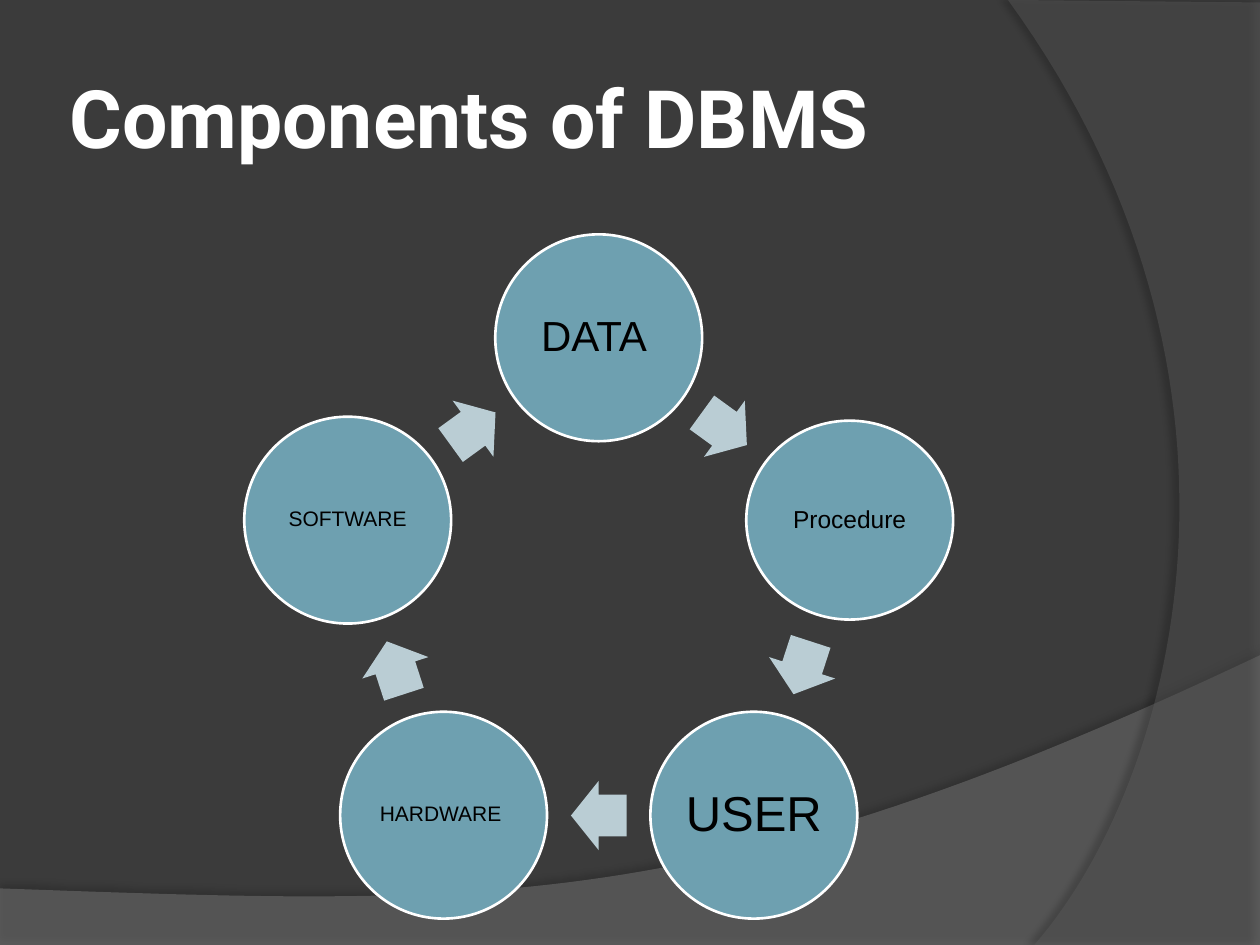
from math import cos, radians, sin

from lxml import etree
from pptx import Presentation
from pptx.dml.color import RGBColor
from pptx.enum.shapes import MSO_SHAPE
from pptx.enum.text import MSO_ANCHOR, PP_ALIGN
from pptx.oxml.ns import qn
from pptx.util import Cm, Pt

OVAL = MSO_SHAPE.OVAL
RIGHT_ARROW = MSO_SHAPE.RIGHT_ARROW
MIDDLE = MSO_ANCHOR.MIDDLE
LEFT, CENTER = PP_ALIGN.LEFT, PP_ALIGN.CENTER

COLORS = {
    "background": "3B3B3B",
    "bottom wave": "7F7F7F",
    "right wave": "5E5E5E",
    "circle": "6EA0B0",
    "arrow": "BACDD4",
    "white": "FFFFFF",
    "black": "000000",
}


def paint(shape, fill, outline=None):
    shape.shadow.inherit = False
    shape.fill.solid()
    shape.fill.fore_color.rgb = RGBColor.from_string(COLORS[fill])
    if outline:
        shape.line.color.rgb = RGBColor.from_string(COLORS[outline])
        shape.line.width = Pt(1.5)
    else:
        shape.line.fill.background()


def write_text(shape, text, size, color="black", font="Arial", bold=False,
               align=CENTER, margin=0.06, line_spacing=1.0):
    frame = shape.text_frame
    frame.word_wrap = True
    frame.vertical_anchor = MIDDLE
    frame.margin_left = frame.margin_right = Cm(margin)
    frame.margin_top = frame.margin_bottom = Cm(margin)
    paragraph = frame.paragraphs[0]
    paragraph.alignment = align
    paragraph.line_spacing = line_spacing
    run = paragraph.add_run()
    run.text = text
    run.font.size = Pt(size)
    run.font.name = font
    run.font.bold = bold
    run.font.color.rgb = RGBColor.from_string(COLORS[color])


presentation = Presentation()
presentation.slide_width = Cm(25.4)
presentation.slide_height = Cm(19.05)
slide = presentation.slides.add_slide(presentation.slide_layouts[6])
slide.background.fill.solid()
slide.background.fill.fore_color.rgb = RGBColor.from_string(COLORS["background"])

# Background waves: straight corners, then one cubic curve from the last corner.
# Each ends with opacity, shadow opacity, shadow distance and shadow direction.
WAVES = [
    ("bottom wave", [(0, 17.91), (0, 19.05), (25.4, 19.05), (25.4, 13.21)],
     [(14.2, 18.52), (9.93, 18.26), (0, 17.91)], 45, 35, 3.5, 270),
    ("right wave", [(25.4, 0.05), (25.4, 19.05), (20.85, 19.05)],
     [(23.75, 15.72), (25.86, 7.62), (20.32, 0)], 40, 45, 4, 180),
]
CURVE_STEPS = 60

for name, corners, controls, opacity, shadow_opacity, distance, direction in WAVES:
    curve = [corners[-1], *controls]
    points = list(corners)
    for step in range(1, CURVE_STEPS + 1):
        t = step / CURVE_STEPS
        weights = ((1 - t) ** 3, 3 * t * (1 - t) ** 2, 3 * t ** 2 * (1 - t), t ** 3)
        points.append(tuple(sum(weight * point[axis] for weight, point in zip(weights, curve))
                            for axis in (0, 1)))
    outline = [(Cm(x), Cm(y)) for x, y in points]
    builder = slide.shapes.build_freeform(*outline[0])
    builder.add_line_segments(outline[1:], close=True)
    wave = builder.convert_to_shape()
    paint(wave, name)
    properties = wave._element.spPr
    fill_color = properties.find(qn("a:solidFill")).find(qn("a:srgbClr"))
    etree.SubElement(fill_color, qn("a:alpha"), val=str(opacity * 1000))
    shadow = etree.SubElement(
        properties.find(qn("a:effectLst")), qn("a:outerShdw"), blurRad=str(Pt(4)),
        dist=str(Pt(distance)), dir=str(direction * 60000), rotWithShape="0")
    shadow_color = etree.SubElement(shadow, qn("a:srgbClr"), val=COLORS["black"])
    etree.SubElement(shadow_color, qn("a:alpha"), val=str(shadow_opacity * 1000))

title = slide.shapes.add_textbox(Cm(1.27), Cm(0.76), Cm(20.75), Cm(3.18))
write_text(title, "Components of DBMS", 46, color="white", font="Roboto", bold=True,
           align=LEFT, margin=0.13)

# Cycle: circles on a ring, with an arrow halfway to each next circle.
CENTER_X, CENTER_Y = 12.07, 12.13
CIRCLE_RING, ARROW_RING = 5.32, 4.31
CIRCLE_SIZE = 4.17
ARROW_LENGTH, ARROW_WIDTH = 1.12, 1.4
COMPONENTS = [
    ("DATA ", 24, CIRCLE_SIZE),
    ("Procedure", 14, 4.01),
    ("USER", 28, CIRCLE_SIZE),
    ("HARDWARE ", 12, CIRCLE_SIZE),
    ("SOFTWARE", 12, CIRCLE_SIZE),
]
STEP_ANGLE = 360 / len(COMPONENTS)

for index, (label, size, height) in enumerate(COMPONENTS):
    angle = index * STEP_ANGLE
    x = CENTER_X + CIRCLE_RING * sin(radians(angle))
    y = CENTER_Y - CIRCLE_RING * cos(radians(angle))
    circle = slide.shapes.add_shape(OVAL, Cm(x - CIRCLE_SIZE / 2), Cm(y - height / 2),
                                    Cm(CIRCLE_SIZE), Cm(height))
    paint(circle, "circle", outline="white")
    write_text(circle, label, size, line_spacing=0.9)

    angle += STEP_ANGLE / 2
    x = CENTER_X + ARROW_RING * sin(radians(angle))
    y = CENTER_Y - ARROW_RING * cos(radians(angle))
    arrow = slide.shapes.add_shape(RIGHT_ARROW, Cm(x - ARROW_LENGTH / 2),
                                   Cm(y - ARROW_WIDTH / 2), Cm(ARROW_LENGTH), Cm(ARROW_WIDTH))
    arrow.adjustments[0] = 0.6
    arrow.adjustments[1] = 0.5
    arrow.rotation = angle
    paint(arrow, "arrow")

presentation.save("out.pptx")
